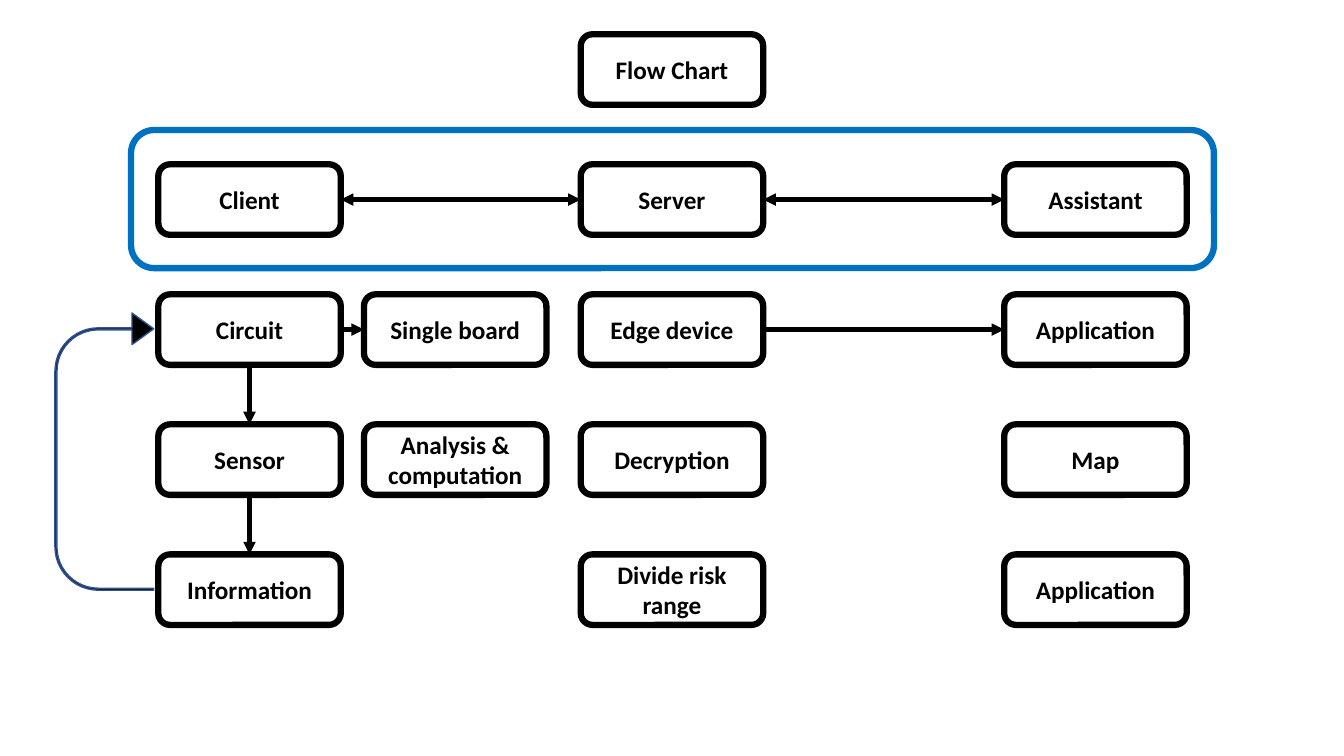
from dataclasses import dataclass

from lxml import etree
from pptx import Presentation
from pptx.dml.color import RGBColor
from pptx.enum.shapes import MSO_CONNECTOR, MSO_SHAPE
from pptx.enum.text import MSO_ANCHOR, PP_ALIGN
from pptx.oxml.ns import qn
from pptx.util import Emu, Pt

ROUND = MSO_SHAPE.ROUNDED_RECTANGLE
UTURN = MSO_SHAPE.U_TURN_ARROW
STRAIGHT = MSO_CONNECTOR.STRAIGHT
CENTER = PP_ALIGN.CENTER
MIDDLE = MSO_ANCHOR.MIDDLE

PX = 9144  # 100 px to the inch
COLORS = {"ink": "000000", "frame": "0070C0", "loop": "325491"}

# Grid of boxes
COLS = (157, 361, 576, 996)
TOP, STEP = 34, 129
WIDE, HIGH = 181, 70

# Connection sites of a rounded box
NORTH, WEST, SOUTH, EAST = range(4)


@dataclass(frozen=True)
class Box:
    text: str
    col: int
    row: int


@dataclass(frozen=True)
class Link:
    start: tuple[int, int]
    end: tuple[int, int]
    down: bool = False
    both: bool = False


BOXES = (
    Box("Flow Chart", 2, 0),
    Box("Client", 0, 1),
    Box("Server", 2, 1),
    Box("Assistant", 3, 1),
    Box("Circuit", 0, 2),
    Box("Single board", 1, 2),
    Box("Edge device", 2, 2),
    Box("Application", 3, 2),
    Box("Sensor", 0, 3),
    Box("Analysis & computation", 1, 3),
    Box("Decryption", 2, 3),
    Box("Map", 3, 3),
    Box("Information", 0, 4),
    Box("Divide risk range", 2, 4),
    Box("Application", 3, 4),
)

# Ends are (column, row)
LINKS = (
    Link((0, 1), (2, 1), both=True),
    Link((2, 1), (3, 1), both=True),
    Link((0, 2), (1, 2)),
    Link((2, 2), (3, 2)),
    Link((0, 2), (0, 3), down=True),
    Link((0, 3), (0, 4), down=True),
)


def px(n: int) -> Emu:
    return Emu(n * PX)


def color(name: str) -> RGBColor:
    return RGBColor.from_string(COLORS[name])


def add_form(slide, kind, x: int, y: int, w: int, h: int, *,
             line: str, weight: float, fill: str | None = None):
    form = slide.shapes.add_shape(kind, px(x), px(y), px(w), px(h))
    form.shadow.inherit = False
    form.line.color.rgb = color(line)
    form.line.width = Pt(weight)
    if fill:
        form.fill.solid()
        form.fill.fore_color.rgb = color(fill)
    else:
        form.fill.background()
    return form


def put_text(form, text: str, *, size: int = 18, bold: bool = True,
             ink: str = "ink", font: str = "Calibri") -> None:
    frame = form.text_frame
    frame.word_wrap = True
    frame.vertical_anchor = MIDDLE
    para = frame.paragraphs[0]
    para.alignment = CENTER
    run = para.add_run()
    run.text = text
    run.font.name = font
    run.font.size = Pt(size)
    run.font.bold = bold
    run.font.color.rgb = color(ink)


def add_box(slide, box: Box):
    form = add_form(slide, ROUND, COLS[box.col], TOP + box.row * STEP,
                    WIDE, HIGH, line="ink", weight=4.5)
    put_text(form, box.text)
    return form


def add_link(slide, link: Link, forms: dict) -> None:
    wire = slide.shapes.add_connector(STRAIGHT, 0, 0, 0, 0)
    wire.begin_connect(forms[link.start], SOUTH if link.down else EAST)
    wire.end_connect(forms[link.end], NORTH if link.down else WEST)
    wire.line.color.rgb = color("ink")
    wire.line.width = Pt(3)
    edge = wire.line._get_or_add_ln()
    for tag in ("a:headEnd", "a:tailEnd") if link.both else ("a:tailEnd",):
        etree.SubElement(edge, qn(tag), type="triangle")
    etree.SubElement(wire._element.spPr, qn("a:effectLst"))


def add_loop(slide) -> None:
    loop = add_form(slide, UTURN, -34, 399, 275, 98,
                    line="loop", weight=1, fill="ink")
    loop.rotation = 270
    for i, value in enumerate((0.02, 0.16, 0.22, 0.44, 1)):
        loop.adjustments[i] = value


def main() -> None:
    deck = Presentation()
    deck.slide_width, deck.slide_height = px(1333), px(750)
    slide = deck.slides.add_slide(deck.slide_layouts[6])

    # Frame around the main row
    add_form(slide, ROUND, 130, 129, 1074, 137, line="frame", weight=4.5)

    # Boxes and the arrows between them
    forms = {(box.col, box.row): add_box(slide, box) for box in BOXES}
    for link in LINKS:
        add_link(slide, link, forms)

    # Return path from the last box to the board
    add_loop(slide)

    deck.save("out.pptx")


if __name__ == "__main__":
    main()
